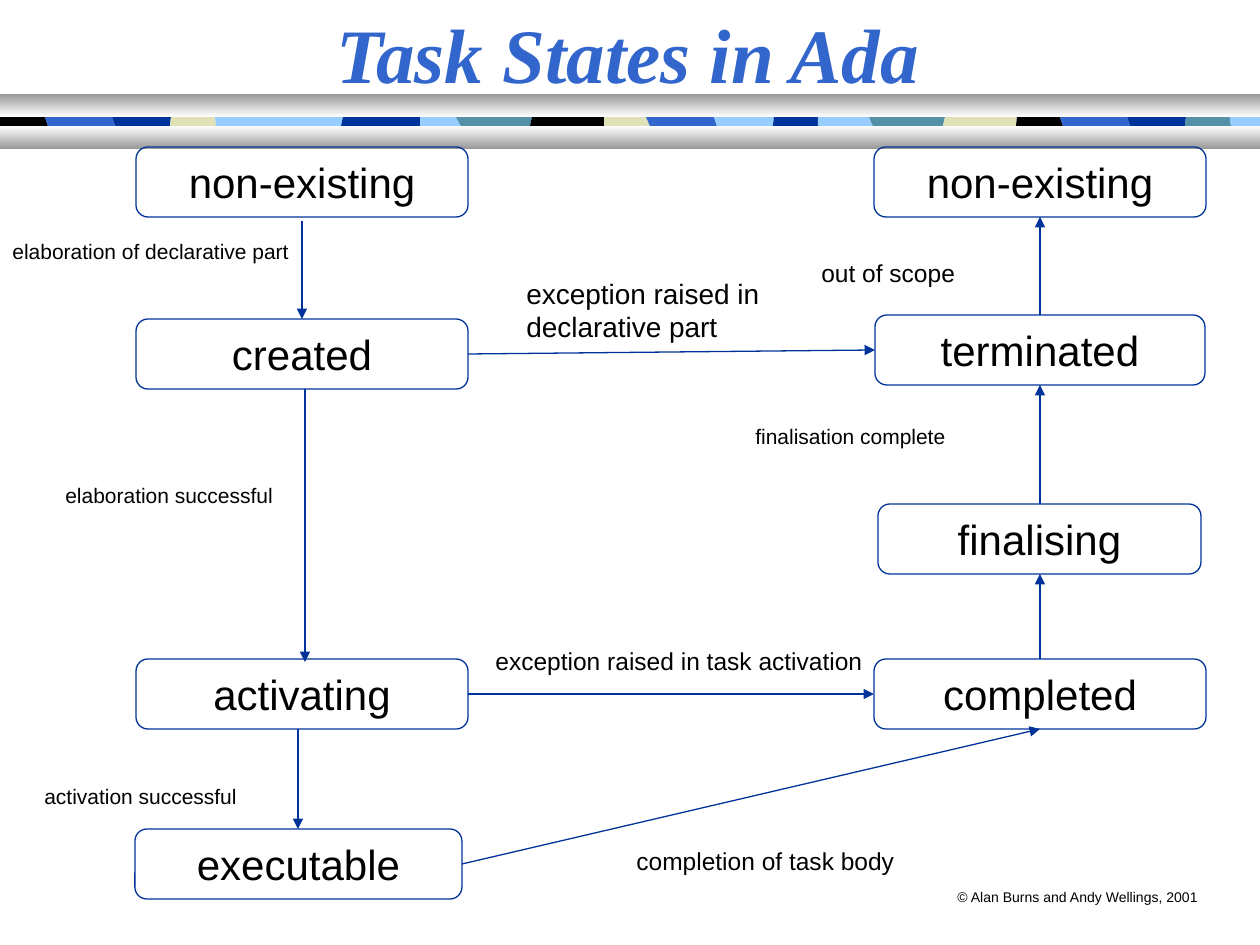
from lxml import etree
from pptx import Presentation
from pptx.dml.color import RGBColor
from pptx.enum.shapes import MSO_CONNECTOR, MSO_SHAPE
from pptx.enum.text import MSO_ANCHOR, PP_ALIGN
from pptx.oxml.ns import qn
from pptx.util import Pt

PX = 914400 / 126  # EMU in one px

STRAIGHT = MSO_CONNECTOR.STRAIGHT
RECTANGLE = MSO_SHAPE.RECTANGLE
ROUNDED = MSO_SHAPE.ROUNDED_RECTANGLE
LEFT, CENTER = PP_ALIGN.LEFT, PP_ALIGN.CENTER
TOP, MIDDLE = MSO_ANCHOR.TOP, MSO_ANCHOR.MIDDLE

BLACK = RGBColor(0x00, 0x00, 0x00)
WHITE = RGBColor(0xFF, 0xFF, 0xFF)
GREY = RGBColor(0x98, 0x98, 0x98)
NAVY = RGBColor(0x00, 0x33, 0x99)
BLUE = RGBColor(0x33, 0x66, 0xCC)
SKY = RGBColor(0x99, 0xCC, 0xFF)
TEAL = RGBColor(0x54, 0x90, 0xA8)
SAND = RGBColor(0xE1, 0xE1, 0xB7)

presentation = Presentation()
presentation.slide_width = round(1260 * PX)
presentation.slide_height = round(945 * PX)
slide = presentation.slides.add_slide(presentation.slide_layouts[6])
shapes = slide.shapes


def emu(*lengths):
    return [round(length * PX) for length in lengths]


def write(shape, text, size, font="Arial", color=BLACK, align=LEFT,
          anchor=TOP, wrap=True, bold=False, italic=False):
    frame = shape.text_frame
    frame.word_wrap = wrap
    frame.vertical_anchor = anchor
    paragraph = frame.paragraphs[0]
    paragraph.alignment = align
    run = paragraph.add_run()
    run.text = text
    run.font.name = font
    run.font.size = Pt(size)
    run.font.bold = bold
    run.font.italic = italic
    run.font.color.rgb = color


# Mosaic strip: each tile has a colour and a right edge,
# given as x at its outer ends, at the upper bend and at the lower bend.
TILES = [
    (BLACK, (40, 45, 48)), (BLUE, (116, 112, 115)), (NAVY, (168, 171, 170)),
    (SAND, (209, 215, 216)), (SKY, (341, 343, 341)), (NAVY, (421, 420, 420)),
    (SKY, (456, 456, 461)), (TEAL, (530, 532, 530)), (BLACK, (611, 604, 604)),
    (SAND, (642, 646, 650)), (BLUE, (718, 714, 717)), (SKY, (770, 774, 773)),
    (NAVY, (811, 818, 818)), (SKY, (869, 869, 873)), (TEAL, (943, 945, 943)),
    (SAND, (1023, 1017, 1016)), (BLACK, (1055, 1060, 1063)),
    (BLUE, (1130, 1127, 1130)), (NAVY, (1183, 1186, 1185)),
    (TEAL, (1223, 1230, 1231)), (SKY, (1260, 1260, 1260)),
]
TILE_ROWS = (107, 117, 126, 143)
left_edge = (0, 0, 0)
for color, right_edge in TILES:
    left_side, right_side = (
        list(zip((outer, upper, lower, outer), TILE_ROWS))
        for outer, upper, lower in (left_edge, right_edge)
    )
    outline = left_side + right_side[::-1]
    builder = shapes.build_freeform(*outline[0], scale=PX)
    builder.add_line_segments(outline[1:], close=True)
    tile = builder.convert_to_shape()
    tile.shadow.inherit = False
    tile.fill.solid()
    tile.fill.fore_color.rgb = color
    tile.line.fill.background()
    left_edge = right_edge

# Metallic bars above and below the mosaic
for top, colors in ((94, (GREY, WHITE)), (126, (WHITE, GREY))):
    bar = shapes.add_shape(RECTANGLE, *emu(0, top, 1260, 23))
    bar.shadow.inherit = False
    bar.line.fill.background()
    bar.fill.gradient()
    bar.fill.gradient_angle = 270
    for stop, color in zip(bar.fill.gradient_stops, colors):
        stop.color.rgb = color

title = shapes.add_textbox(*emu(0, 0, 1256, 105))
write(title, "Task States in Ada", 44, font="Times New Roman", color=BLUE,
      align=CENTER, anchor=MIDDLE, bold=True, italic=True)

# Task states: text, left, top, width
STATES = [
    ("non-existing", 136, 147, 332),
    ("created", 136, 319, 332),
    ("activating", 136, 659, 332),
    ("executable", 135, 829, 327),
    ("non-existing", 874, 147, 332),
    ("terminated", 875, 315, 330),
    ("finalising", 878, 504, 323),
    ("completed", 874, 659, 332),
]
for text, left, top, width in STATES:
    state = shapes.add_shape(ROUNDED, *emu(left, top, width, 70))
    state.shadow.inherit = False
    state.adjustments[0] = 0.17
    state.fill.background()
    state.line.color.rgb = NAVY
    state.line.width = Pt(0.75)
    write(state, text, 24, align=CENTER, anchor=MIDDLE)

# Transitions: from x, from y, to x, to y
TRANSITIONS = [
    (302, 221, 302, 319),
    (305, 389, 305, 662),
    (298, 729, 298, 829),
    (468, 354, 875, 350),
    (468, 694, 874, 694),
    (462, 864, 1040, 729),
    (1040, 659, 1040, 574),
    (1040, 504, 1040, 385),
    (1040, 315, 1040, 217),
]
for ends in TRANSITIONS:
    arrow = shapes.add_connector(STRAIGHT, *emu(*ends))
    arrow.line.color.rgb = NAVY
    arrow.line.width = Pt(0.75)
    etree.SubElement(arrow.line._get_or_add_ln(), qn("a:tailEnd"), type="triangle")
    etree.SubElement(arrow._element.spPr, qn("a:effectLst"))

# Transition labels: text, size, left, top, width, height
LABELS = [
    ("elaboration of declarative part", 12, 0, 232, 336, 38),
    ("elaboration successful", 12, 53, 476, 262, 38),
    ("activation successful", 12, 32, 777, 238, 38),
    ("finalisation complete", 12, 743, 417, 251, 38),
    ("exception raised in task activation", 14, 483, 640, 472, 43),
    ("completion of task body", 14, 624, 840, 388, 43),
    ("out of scope", 14, 809, 252, 189, 43),
    ("exception raised in declarative part", 16, 514, 270, 294, 81),
]
for text, size, *box in LABELS:
    write(shapes.add_textbox(*emu(*box)), text, size)

copyright_line = shapes.add_textbox(*emu(945, 882, 267, 30))
write(copyright_line, "© Alan Burns and Andy Wellings, 2001", 8, wrap=False)

presentation.save("out.pptx")
